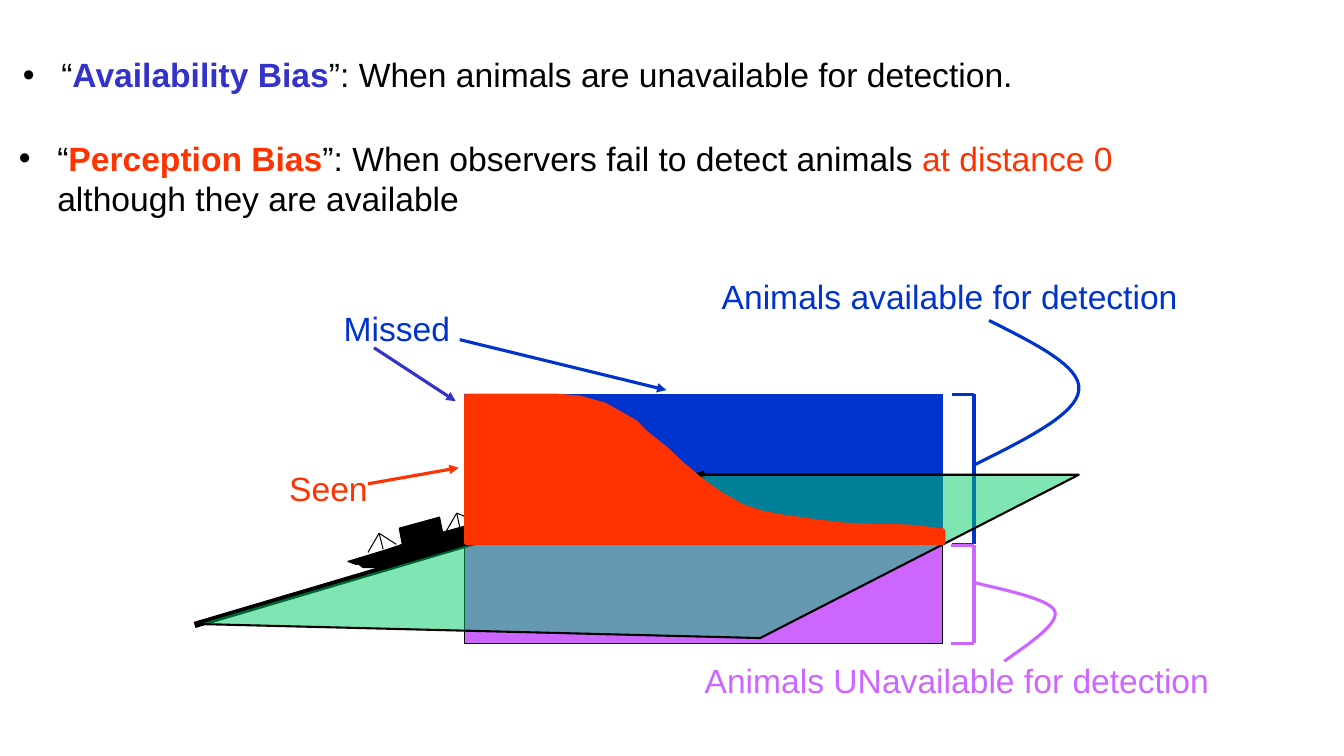
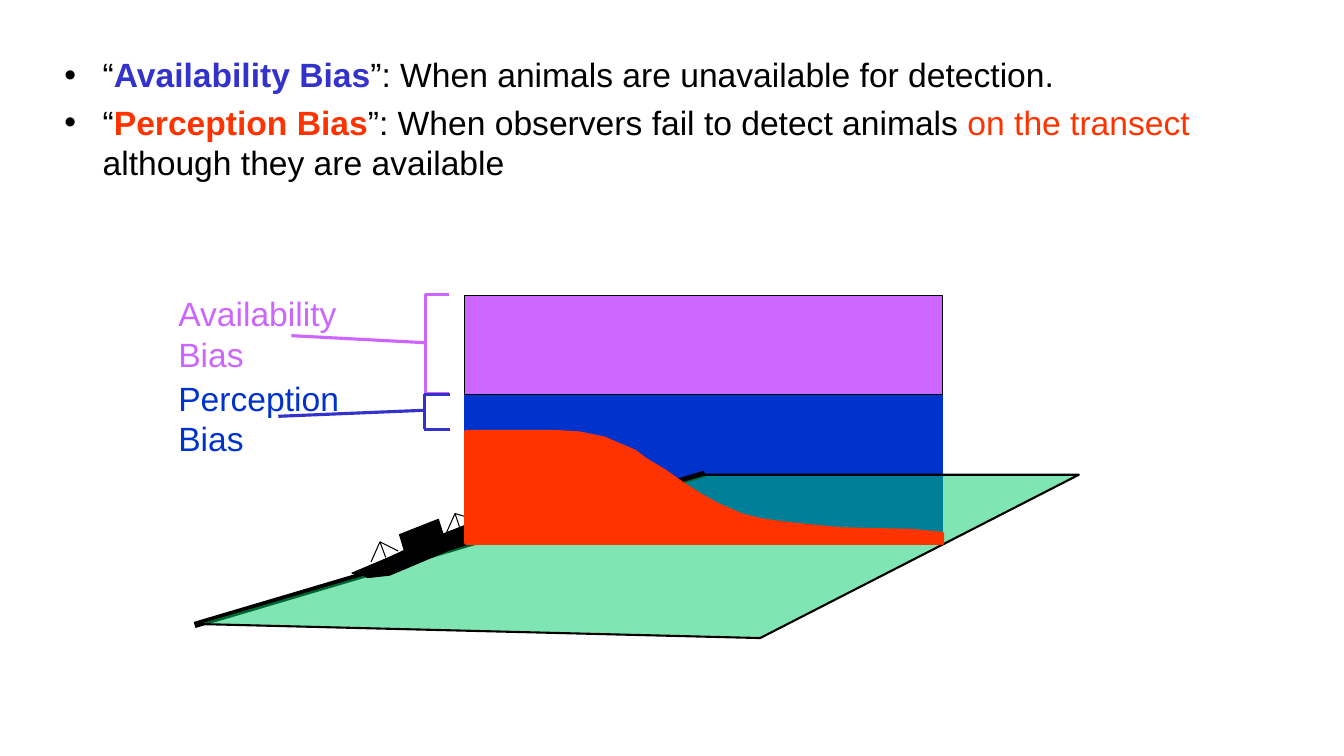
from math import cos, radians, sin
from typing import NamedTuple

from lxml.etree import SubElement
from pptx import Presentation
from pptx.dml.color import RGBColor
from pptx.enum.shapes import MSO_CONNECTOR as Connector, MSO_SHAPE as Shape
from pptx.oxml.ns import qn
from pptx.util import Pt

PX = 9144
FONT = "Arial"
BLACK = RGBColor(0x00, 0x00, 0x00)
BLUE = RGBColor(0x00, 0x33, 0xCC)
INDIGO = RGBColor(0x33, 0x33, 0xCC)
PURPLE = RGBColor(0xCC, 0x66, 0xFF)
RED = RGBColor(0xFF, 0x33, 0x00)
GREEN = RGBColor(0x00, 0xCC, 0x66)

SEEN_SIZE = (474, 147)
SEEN_OUTLINE = [
    (474, 134), (474, 147), (0, 147), (0, 0), (56, 0), (88, 0), (113, 2), (138, 9),
    (168, 26), (179, 37), (198, 52), (214, 67), (234, 84), (252, 97), (275, 110),
    (293, 116), (314, 120), (342, 124), (374, 128), (403, 129), (441, 130),
]
HULLS = [
    [(217, 14), (37, 69), (8, 73), (0, 70), (56, 53), (54, 46), (82, 38), (84, 45),
     (139, 28), (137, 19), (165, 10), (167, 20), (222, 3), (223, 7)],
    [(219, 21), (37, 76), (15, 76), (7, 70), (54, 53), (51, 37), (91, 26), (94, 41),
     (142, 28), (140, 20), (181, 8), (182, 16), (223, 4)],
]
MASTS = [
    ((31, 42), [(35, 58), (20, 61), (48, 53)]),
    ((108, 22), [(111, 36), (97, 41), (132, 32)]),
]


class Box(NamedTuple):
    """A region of the page in px."""
    left: int
    top: int
    width: int
    height: int

    def at(self, x, y):
        """Return the page position of a point inside the region."""
        return self.left + x, self.top + y

    def turned(self, point, degrees):
        """Return the page position of a point turned about the region's centre."""
        x, y = point[0] - self.width / 2, point[1] - self.height / 2
        turn = radians(degrees)
        return self.at(self.width / 2 + x * cos(turn) - y * sin(turn),
                       self.height / 2 + x * sin(turn) + y * cos(turn))


def emu(values):
    """Turn px lengths into EMU."""
    return [round(value * PX) for value in values]


def paint(shape, fill, line, weight):
    """Set fill and outline and remove the shadow."""
    shape.shadow.inherit = False
    if fill is None:
        shape.fill.background()
    else:
        shape.fill.solid()
        shape.fill.fore_color.rgb = fill
    shape.line.color.rgb = line
    shape.line.width = Pt(weight)
    return shape


def add_line(page, start, end, color, weight=2.25, arrow=False):
    """Draw a straight line, with an arrowhead at its end if wanted."""
    line = page.shapes.add_connector(Connector.STRAIGHT, *emu(start), *emu(end))
    line.line.color.rgb = color
    line.line.width = Pt(weight)
    if arrow:
        SubElement(line.line._get_or_add_ln(), qn("a:tailEnd"), type="triangle")
    SubElement(line._element.spPr, qn("a:effectLst"))


def add_outline(page, points, fill, line, weight, close=True):
    """Draw a freeform through the given points."""
    first, *rest = [emu(point) for point in points]
    builder = page.shapes.build_freeform(*first, scale=1.0)
    builder.add_line_segments(rest, close=close)
    return paint(builder.convert_to_shape(), fill, line, weight)


def add_curve(page, points, color):
    """Draw a chain of cubic curves, each starting where the last one ends."""
    steps = 16
    track = [points[0]]
    for index in range(0, len(points) - 1, 3):
        a, b, c, d = points[index:index + 4]
        for step in range(1, steps + 1):
            t = step / steps
            s = 1 - t
            track.append([s**3 * a[axis] + 3 * s * s * t * b[axis]
                          + 3 * s * t * t * c[axis] + t**3 * d[axis] for axis in (0, 1)])
    add_outline(page, track, None, color, 2.25, close=False)


def add_text(page, box, paragraphs, wrap=False, bullet=False):
    """Place paragraphs, each a list of (text, colour, bold) spans."""
    frame = page.shapes.add_textbox(*emu(box)).text_frame
    frame.word_wrap = wrap
    for index, spans in enumerate(paragraphs):
        para = frame.add_paragraph() if index else frame.paragraphs[0]
        if bullet:
            add_bullet(para, index > 0)
        for text, color, bold in spans:
            span = para.add_run()
            span.text = text
            span.font.name = FONT
            span.font.size = Pt(24)
            span.font.bold = bold
            span.font.color.rgb = color


def add_bullet(para, spaced):
    """Give a paragraph a hanging round bullet."""
    if spaced:
        para.space_before = Pt(4.8)
    settings = para._p.get_or_add_pPr()
    settings.set("marL", str(38 * PX))
    settings.set("indent", str(-38 * PX))
    SubElement(settings, qn("a:buFont"), typeface=FONT)
    SubElement(settings, qn("a:buChar"), char="•")


def add_label(page, box, color, *lines):
    """Place a plain label of one or more lines."""
    add_text(page, box, [[(line, color, False)] for line in lines])


def add_definitions(page, box, *definitions):
    """Place bulleted definitions, each a term, its colour and (text, colour) spans."""
    paragraphs = []
    for term, color, spans in definitions:
        paragraphs.append([("“", BLACK, False), (term, color, True)]
                          + [(text, tint, False) for text, tint in spans])
    add_text(page, box, paragraphs, wrap=True, bullet=True)


def availability():
    """Return the definition of availability bias."""
    return ("Availability Bias", INDIGO,
            [("”: When animals are unavailable for detection.", BLACK)])


def perception(place):
    """Return the definition of perception bias for a place."""
    return ("Perception Bias", RED,
            [("”: When observers fail to detect animals ", BLACK),
             (place + " ", RED), ("although they are available", BLACK)])


def add_block(page, box, fill, line):
    """Draw one rectangular share of the animals."""
    paint(page.shapes.add_shape(Shape.RECTANGLE, *emu(box)), fill, line, 0.75)


def add_bracket(page, box, color, opens_left):
    """Draw a square bracket that opens to one side."""
    spine, tip = (box.width, 0) if opens_left else (0, box.width)
    for y in (0, box.height):
        add_line(page, box.at(spine, y), box.at(tip, y), color)
    add_line(page, box.at(spine, 0), box.at(spine, box.height), color)


def add_sea(page, box):
    """Draw the track line and the see-through sea surface."""
    add_line(page, box.at(505, -1), box.at(-1, 149), BLACK, 4.5)
    corners = [box.at(*corner) for corner in ((504, 0), (876, 0), (560, 162), (0, 148))]
    surface = add_outline(page, corners, GREEN, BLACK, 1.5)
    color = surface.fill._xPr.find(qn("a:solidFill"))[0]
    SubElement(color, qn("a:alpha"), val="50000")


def add_ship(page, box, tilt):
    """Draw the survey ship, tilted about the centre of its box."""
    hulls = [[box.turned(point, tilt) for point in hull] for hull in HULLS]
    add_outline(page, hulls[0], BLACK, BLACK, 0.75)
    for top, feet in MASTS:
        for foot in feet:
            add_line(page, box.turned(top, tilt), box.turned(foot, tilt), BLACK, 0.75)
    add_outline(page, hulls[1], BLACK, BLACK, 0.75)


def add_seen(page, box):
    """Draw the area under the detection curve, stretched to its box."""
    across, down = box.width / SEEN_SIZE[0], box.height / SEEN_SIZE[1]
    points = [box.at(x * across, y * down) for x, y in SEEN_OUTLINE]
    add_outline(page, points, RED, RED, 2.25)


def add_survey(page, tilt, seen):
    """Draw the sea, the ship and the detected share."""
    add_sea(page, Box(194, 471, 876, 162))
    add_ship(page, Box(345, 487, 223, 76), tilt)
    add_seen(page, seen)


def build_detection_page(page):
    """Build the slide on available and unavailable animals."""
    add_definitions(page, Box(13, 49, 1180, 74), availability())
    add_definitions(page, Box(9, 132, 1180, 91), perception("at distance 0"))
    add_block(page, Box(461, 540, 474, 98), PURPLE, BLACK)
    add_block(page, Box(461, 391, 474, 148), BLUE, BLUE)
    add_bracket(page, Box(944, 391, 22, 149), BLUE, True)
    add_bracket(page, Box(943, 541, 23, 97), PURPLE, True)
    add_label(page, Box(689, 650, 542, 50), PURPLE, "Animals UNavailable for detection")
    add_label(page, Box(706, 269, 483, 50), BLUE, "Animals available for detection")
    add_label(page, Box(277, 459, 98, 50), RED, "Seen")
    add_label(page, Box(331, 301, 126, 50), BLUE, "Missed")
    add_curve(page, [(981, 318), (1027, 341), (1073, 364), (1070, 387),
                     (1068, 411), (1017, 436), (967, 461)], BLUE)
    add_curve(page, [(996, 656), (1023, 637), (1051, 618), (1046, 606),
                     (1041, 593), (980, 582), (967, 578)], PURPLE)
    add_survey(page, 0, Box(462, 392, 474, 147))
    add_line(page, (456, 337), (661, 387), BLUE, arrow=True)
    add_line(page, (365, 480), (455, 464), RED, arrow=True)
    add_line(page, (371, 345), (452, 398), INDIGO, arrow=True)


def build_bias_page(page):
    """Build the slide on the two kinds of bias."""
    add_definitions(page, Box(54, 49, 1179, 209),
                    availability(), perception("on the transect"))
    add_block(page, Box(461, 391, 474, 148), BLUE, BLUE)
    add_block(page, Box(461, 293, 474, 98), PURPLE, BLACK)
    add_bracket(page, Box(422, 292, 23, 98), PURPLE, False)
    add_survey(page, -6.1, Box(462, 428, 473, 111))
    add_bracket(page, Box(421, 391, 25, 35), INDIGO, False)
    add_label(page, Box(167, 286, 179, 91), PURPLE, "Availability", "Bias")
    add_label(page, Box(167, 370, 181, 91), BLUE, "Perception", "Bias")
    add_line(page, (276, 413), (422, 407), INDIGO)
    add_line(page, (289, 333), (422, 340), PURPLE)


def main():
    """Build and save the deck."""
    deck = Presentation()
    deck.slide_width, deck.slide_height = emu((1333, 750))
    for build in (build_detection_page, build_bias_page):
        build(deck.slides.add_slide(deck.slide_layouts[6]))
    deck.save("out.pptx")


if __name__ == "__main__":
    main()
